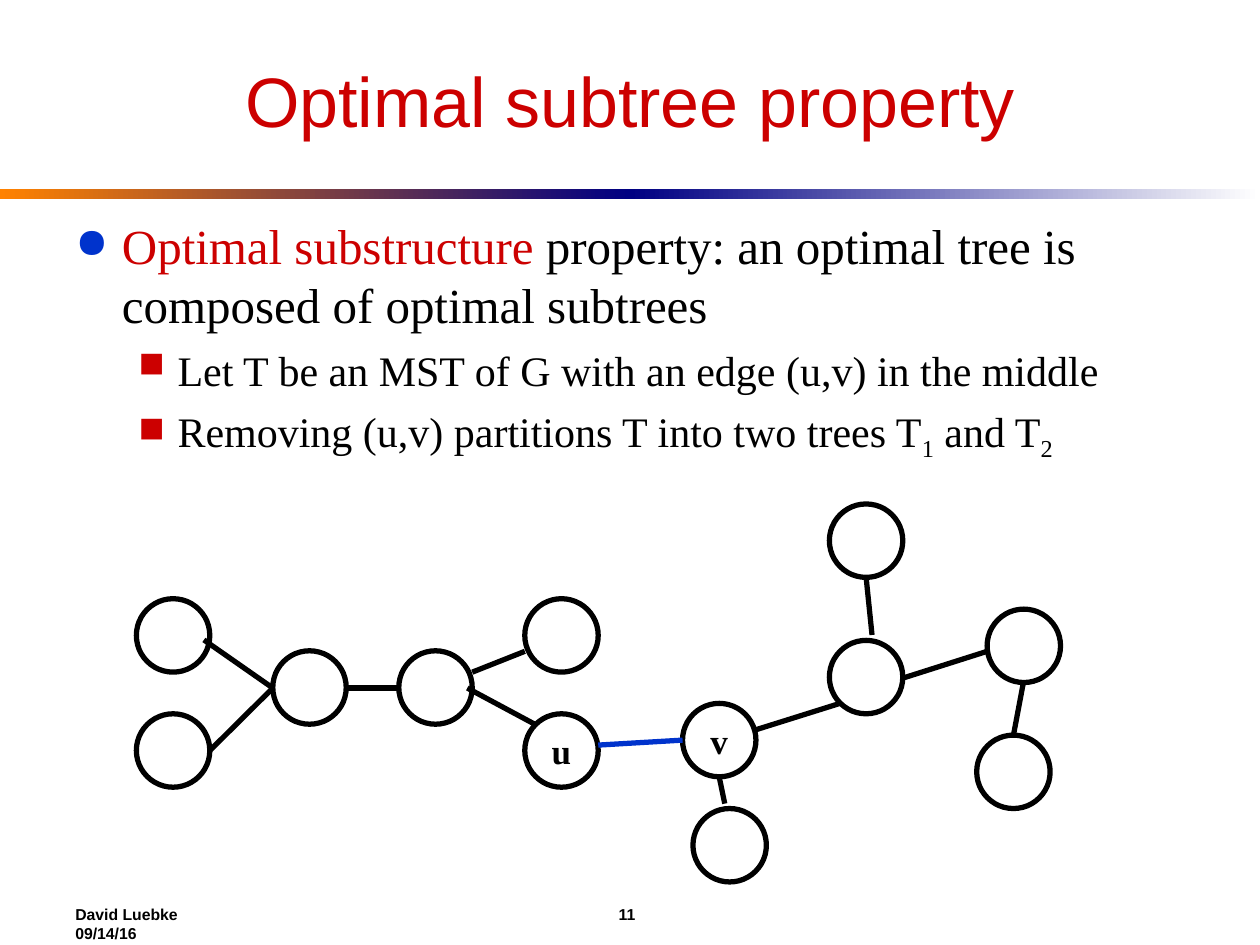
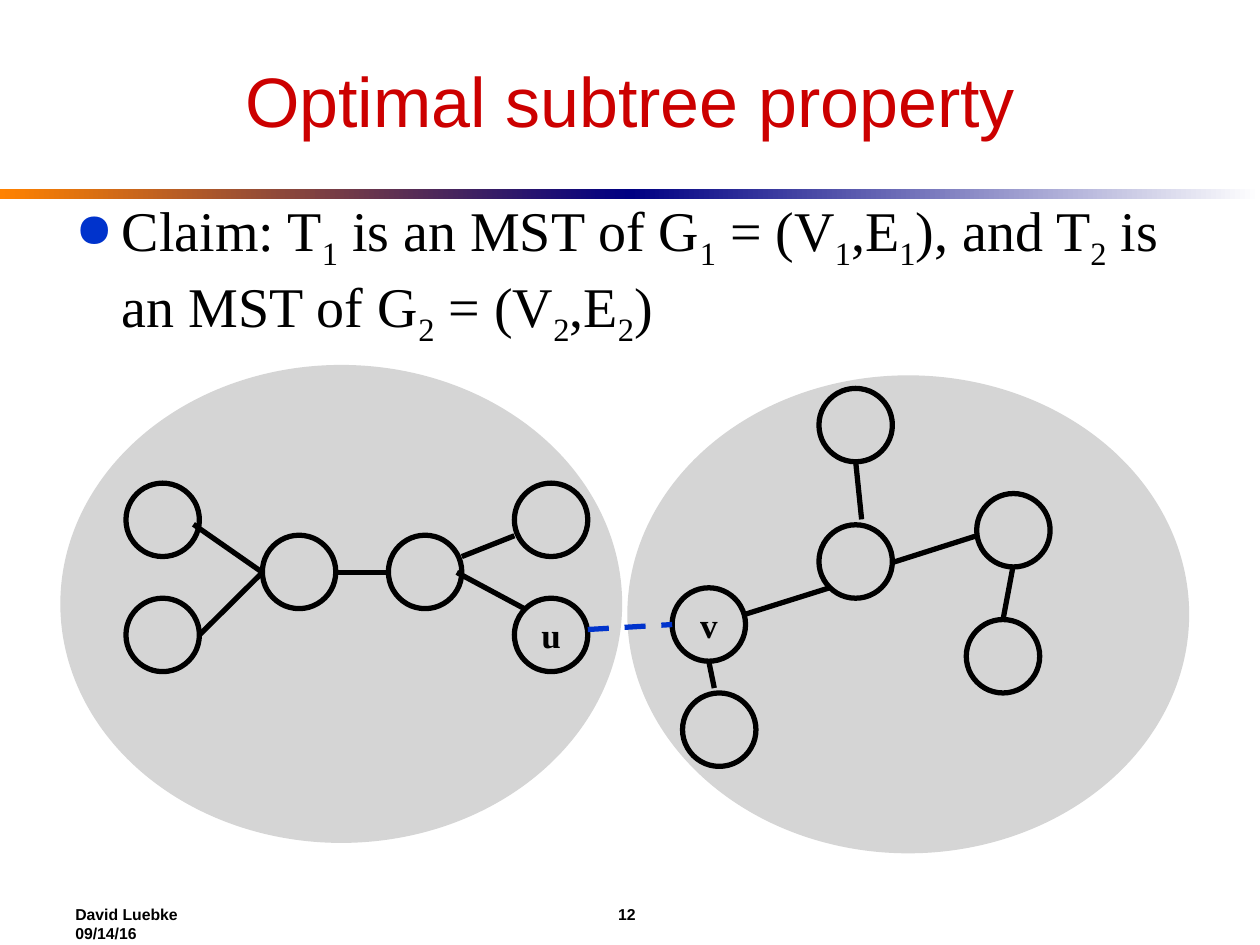
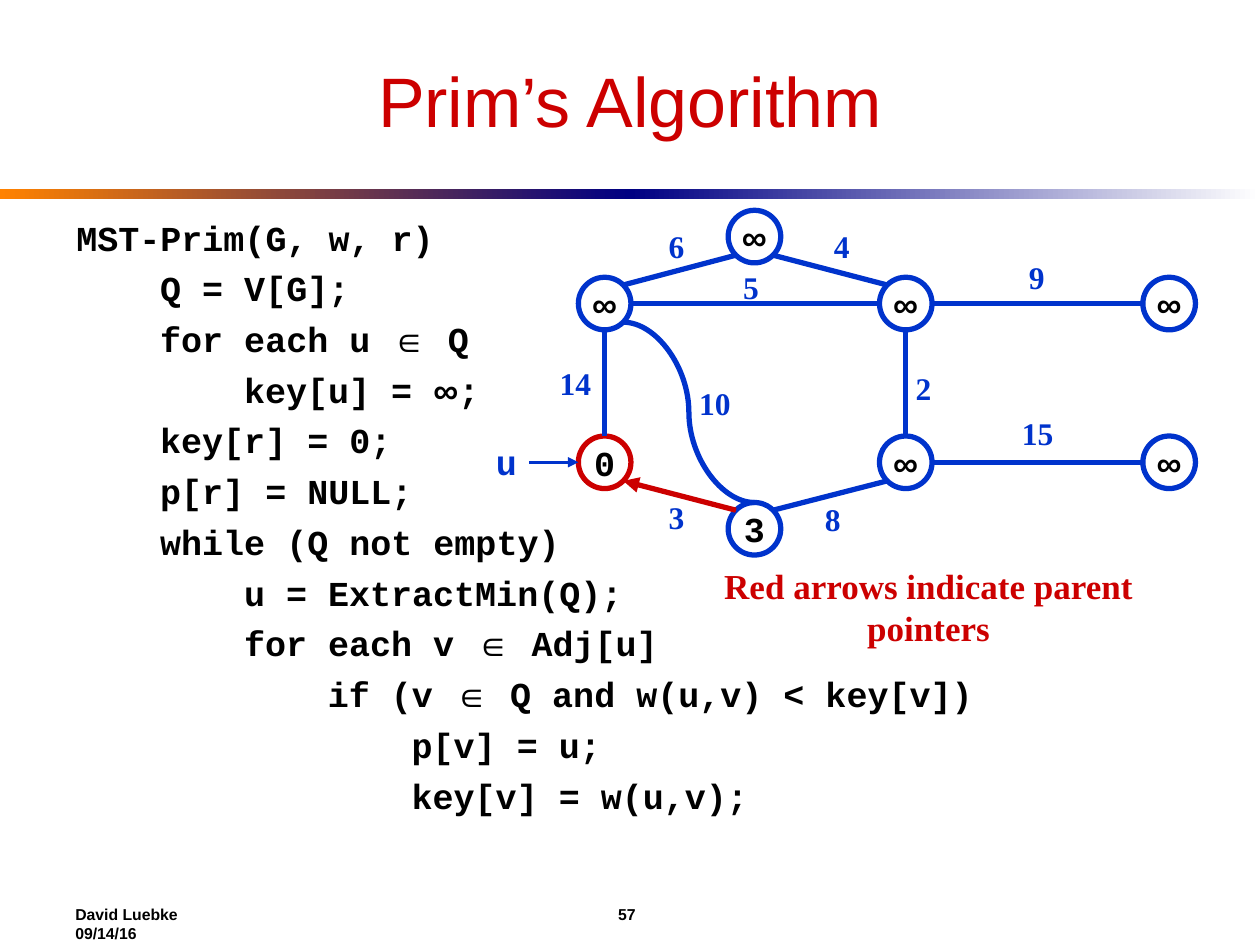
from dataclasses import dataclass, replace
from itertools import groupby
from math import cos, pi, sin
from typing import Any, NamedTuple, Optional

from lxml.etree import SubElement
from pptx import Presentation
from pptx.dml.color import RGBColor
from pptx.enum.dml import MSO_LINE
from pptx.enum.shapes import MSO_CONNECTOR, MSO_SHAPE
from pptx.enum.text import MSO_ANCHOR, MSO_AUTO_SIZE, PP_ALIGN
from pptx.oxml.ns import qn
from pptx.util import Cm, Pt


@dataclass(frozen=True)
class TextStyle:
    name: str
    size: float
    color: str
    bold: bool = False


@dataclass(frozen=True)
class Theme:
    black: str = "000000"
    red: str = "CC0000"
    blue: str = "0033CC"
    gray: str = "D5D5D5"
    orange: str = "FF8200"
    navy: str = "000082"
    white: str = "FFFFFF"
    sans: str = "Arial"
    serif: str = "Times New Roman"
    mono: str = "Courier New"
    stroke: float = 3
    thin_stroke: float = 1.5


THEME = Theme()
TITLE = TextStyle(THEME.sans, 40, THEME.red)
FOOTER = TextStyle(THEME.sans, 9, THEME.black, True)
CLAIM = TextStyle(THEME.serif, 32, THEME.black)
POINT = replace(CLAIM, size=28)
SUBPOINT = replace(CLAIM, size=24)
VERTEX = TextStyle(THEME.serif, 20, THEME.black, True)
CODE = replace(VERTEX, name=THEME.mono)
SYMBOL = replace(VERTEX, name=THEME.sans)
WEIGHT = TextStyle(THEME.serif, 18, THEME.blue, True)
POINTER = replace(CODE, color=THEME.blue)
REMARK = replace(VERTEX, color=THEME.red)


class Bullet(NamedTuple):
    mark: str
    color: str
    level: int
    margin: float
    hanging: float


DISC = Bullet("●", THEME.blue, 0, 0.94, 0.94)
SQUARE = Bullet("■", THEME.red, 1, 2.06, 0.79)


class Item(NamedTuple):
    pieces: tuple[tuple[str, TextStyle], ...]
    bullet: Bullet
    space_before: float


class Node(NamedTuple):
    left: float
    top: float
    text: str = ""
    style: TextStyle = VERTEX
    color: str = THEME.black


class Edge(NamedTuple):
    x1: float
    y1: float
    x2: float
    y2: float
    color: str = THEME.black
    dash: Optional[MSO_LINE] = None
    arrow: bool = False
    width: float = THEME.stroke
    kind: MSO_CONNECTOR = MSO_CONNECTOR.STRAIGHT


class Link(NamedTuple):
    """An edge between two of the eight ellipse sites, counted from the top to the left."""
    start: str
    start_site: int
    end: str
    end_site: int
    options: dict[str, Any] = {}


TREE_NODE_SIZE = 1.48
TREE_NODES = (
    Node(2.75, 12.07), Node(5.5, 13.12), Node(2.75, 14.39), Node(8.04, 13.12),
    Node(10.58, 12.07), Node(10.58, 14.39, "u"), Node(13.76, 14.18, "v"),
    Node(13.97, 16.3), Node(16.72, 10.16), Node(16.72, 12.91),
    Node(19.9, 12.28), Node(19.69, 14.82),
)
TREE_EDGES = (
    Edge(4.11, 12.9, 5.5, 13.87), Edge(4.23, 15.13, 5.5, 13.87),
    Edge(6.98, 13.87, 8.04, 13.87), Edge(9.42, 13.87, 10.8, 14.61),
    Edge(10.58, 13.13, 9.52, 13.55), Edge(15.24, 14.71, 16.93, 14.18),
    Edge(18.2, 13.67, 19.9, 13.13), Edge(17.46, 11.64, 17.58, 12.8),
    Edge(14.5, 15.67, 14.61, 16.2), Edge(20.43, 14.82, 20.63, 13.76),
)
MIDDLE_EDGE = Edge(12.06, 15.02, 13.76, 14.92, THEME.blue)

PRIM_NODE_SIZE = 1.06
LEFT, CENTER, RIGHT, FAR = 11.66, 14.68, 17.73, 23.04
PEAK, UPPER, LOWER, BASE = 4.24, 5.59, 8.79, 10.13
UNREACHED = {"text": "∞", "style": SYMBOL, "color": THEME.blue}
PRIM_NODES = {
    "peak": Node(CENTER, PEAK, **UNREACHED),
    "upper left": Node(LEFT, UPPER, **UNREACHED),
    "upper right": Node(RIGHT, UPPER, **UNREACHED),
    "upper far": Node(FAR, UPPER, **UNREACHED),
    "root": Node(LEFT, LOWER, "0", CODE, THEME.red),
    "lower right": Node(RIGHT, LOWER, **UNREACHED),
    "lower far": Node(FAR, LOWER, **UNREACHED),
    "base": Node(CENTER, BASE, "3", CODE, THEME.blue),
}
PRIM_LINKS = (
    Link("peak", 5, "upper right", 1),
    Link("peak", 3, "upper left", 7),
    Link("upper left", 6, "upper right", 2),
    Link("root", 0, "upper left", 4),
    Link("base", 1, "root", 5, {"color": THEME.red, "arrow": True}),
    Link("base", 7, "lower right", 3),
    Link("lower right", 0, "upper right", 4),
    Link("upper right", 6, "upper far", 2),
    Link("lower right", 6, "lower far", 2),
    Link("upper left", 5, "base", 0, {"kind": MSO_CONNECTOR.CURVE}),
)
PRIM_WEIGHTS = (
    ("14", 11.6, 7.21), ("10", 14.41, 7.62), ("3", 13.64, 9.91), ("6", 13.64, 4.45),
    ("4", 16.97, 4.45), ("5", 15.14, 5.28), ("2", 18.62, 7.32), ("9", 20.9, 5.08),
    ("15", 20.92, 8.23), ("8", 16.79, 9.96),
)
PRIM_CODE = (
    (0, "MST-Prim(G, w, r)"),
    (1, "Q = V[G];"),
    (1, "for each u ∈ Q"),
    (2, "key[u] = ∞;"),
    (1, "key[r] = 0;"),
    (1, "p[r] = NULL;"),
    (1, "while (Q not empty)"),
    (2, "u = ExtractMin(Q);"),
    (2, "for each v ∈ Adj[u]"),
    (3, "if (v ∈ Q and w(u,v) < key[v])"),
    (4, "p[v] = u;"),
    (4, "key[v] = w(u,v);"),
)
CODE_INDENT = 1.69


def rgb(color: str) -> RGBColor:
    return RGBColor.from_string(color)


def assign(target, values: dict[str, Any]) -> None:
    for attribute, value in values.items():
        setattr(target, attribute, value)


def write(paragraph, text: str, style: TextStyle) -> None:
    """Add text; the character after each underscore becomes a subscript."""
    first, *rest = text.split("_")
    parts = [(first, False)]
    for part in rest:
        parts += [(part[0], True), (part[1:], False)]
    for content, subscript in parts:
        if not content:
            continue
        run = paragraph.add_run()
        run.text = content
        assign(run.font, {"name": style.name, "size": Pt(style.size), "bold": style.bold})
        run.font.color.rgb = rgb(style.color)
        if subscript:
            run._r.get_or_add_rPr().set("baseline", "-25000")


def set_indent(paragraph, margin: float, hanging: float = 0):
    properties = paragraph._p.get_or_add_pPr()
    properties.set("marL", str(Cm(margin)))
    properties.set("indent", str(-Cm(hanging)))
    return properties


def add_text_area(slide, left: float, top: float, width: float, height: float, **frame_format):
    frame = slide.shapes.add_textbox(Cm(left), Cm(top), Cm(width), Cm(height)).text_frame
    assign(frame, {"word_wrap": True, "auto_size": MSO_AUTO_SIZE.NONE} | frame_format)
    return frame


def next_paragraph(frame, index: int):
    return frame.add_paragraph() if index else frame.paragraphs[0]


def add_label(slide, text: str, center: float, top: float, style: TextStyle) -> None:
    width = 0.48 + 0.33 * len(text)
    frame = add_text_area(slide, center - width / 2, top, width, 1.02, word_wrap=False)
    frame.paragraphs[0].alignment = PP_ALIGN.CENTER
    write(frame.paragraphs[0], text, style)


def add_items(slide, top: float, items: tuple[Item, ...]) -> None:
    frame = add_text_area(slide, 1.27, top, 22.86, 12.06)
    for index, item in enumerate(items):
        paragraph = next_paragraph(frame, index)
        bullet = item.bullet
        assign(paragraph, {"level": bullet.level, "space_before": Pt(item.space_before)})
        properties = set_indent(paragraph, bullet.margin, bullet.hanging)
        color = SubElement(properties, qn("a:buClr"))
        SubElement(color, qn("a:srgbClr"), val=bullet.color)
        SubElement(properties, qn("a:buSzPct"), val="85000")
        SubElement(properties, qn("a:buChar"), char=bullet.mark)
        for text, style in item.pieces:
            write(paragraph, text, style)


def add_code(slide, top: float) -> None:
    frame = add_text_area(slide, 1.27, top, 22.86, 12.06)
    for index, (depth, line) in enumerate(PRIM_CODE):
        paragraph = next_paragraph(frame, index)
        paragraph.space_before = Pt(5)
        set_indent(paragraph, 0.02 + CODE_INDENT * depth)
        for is_symbol, characters in groupby(line, lambda character: character in "∈∞"):
            write(paragraph, "".join(characters), SYMBOL if is_symbol else CODE)


def add_ellipse(slide, left: float, top: float, width: float, height: float, color: str):
    ellipse = slide.shapes.add_shape(
        MSO_SHAPE.OVAL, Cm(left), Cm(top), Cm(width), Cm(height))
    ellipse.shadow.inherit = False
    ellipse.fill.background()
    ellipse.line.color.rgb = rgb(color)
    ellipse.line.width = Pt(THEME.stroke)
    return ellipse


def add_node(slide, node: Node, size: float) -> None:
    circle = add_ellipse(slide, node.left, node.top, size, size, node.color)
    if node.text:
        frame = circle.text_frame
        assign(frame, {"word_wrap": False, "vertical_anchor": MSO_ANCHOR.MIDDLE})
        frame.paragraphs[0].alignment = PP_ALIGN.CENTER
        write(frame.paragraphs[0], node.text, node.style)


def add_edge(slide, edge: Edge) -> None:
    connector = slide.shapes.add_connector(
        edge.kind, Cm(edge.x1), Cm(edge.y1), Cm(edge.x2), Cm(edge.y2))
    connector.line.color.rgb = rgb(edge.color)
    assign(connector.line, {"width": Pt(edge.width), "dash_style": edge.dash})
    properties = connector._element.spPr
    if edge.arrow:
        SubElement(properties.get_or_add_ln(), qn("a:tailEnd"), type="triangle")
    SubElement(properties, qn("a:effectLst"))


def add_tree(slide, middle: Edge, dx: float = 0, dy: float = 0) -> None:
    for node in TREE_NODES:
        add_node(slide, node._replace(left=node.left + dx, top=node.top + dy), TREE_NODE_SIZE)
    for edge in (*TREE_EDGES, middle):
        add_edge(slide, edge._replace(
            x1=edge.x1 + dx, y1=edge.y1 + dy, x2=edge.x2 + dx, y2=edge.y2 + dy))


def site_point(node: Node, site: int) -> tuple[float, float]:
    radius = PRIM_NODE_SIZE / 2
    angle = pi / 2 + site * pi / 4
    return (node.left + radius + radius * cos(angle),
            node.top + radius - radius * sin(angle))


def add_bands(slide) -> None:
    half = 12.7
    for index, colors in enumerate(((THEME.orange, THEME.navy), (THEME.navy, THEME.white))):
        band = slide.shapes.add_shape(
            MSO_SHAPE.RECTANGLE, Cm(index * half), Cm(3.81), Cm(half), Cm(0.2))
        band.shadow.inherit = False
        band.line.fill.background()
        band.fill.gradient()
        band.fill.gradient_angle = 0
        for stop, color in zip(band.fill.gradient_stops, colors):
            stop.color.rgb = rgb(color)


def add_footer(slide, number: int) -> None:
    frame = add_text_area(slide, 1.27, 18.21, 22.86, 0.84, vertical_anchor=MSO_ANCHOR.MIDDLE)
    paragraph = frame.paragraphs[0]
    tabs = SubElement(paragraph._p.get_or_add_pPr(), qn("a:tabLst"))
    for position, alignment in ((11.12, "ctr"), (21.38, "l")):
        SubElement(tabs, qn("a:tab"), pos=str(Cm(position)), algn=alignment)
    write(paragraph, f"David Luebke\t{number}\t09/14/16", FOOTER)


def start_slide(deck, title: str, number: int):
    slide = deck.slides.add_slide(deck.slide_layouts[5])
    heading = slide.shapes.title
    assign(heading, {"left": Cm(1.27), "top": Cm(0.64), "width": Cm(22.86), "height": Cm(2.75)})
    assign(heading.text_frame, {"vertical_anchor": MSO_ANCHOR.MIDDLE, "word_wrap": True,
                                "auto_size": MSO_AUTO_SIZE.NONE})
    paragraph = heading.text_frame.paragraphs[0]
    paragraph.alignment = PP_ALIGN.CENTER
    write(paragraph, title, TITLE)
    add_bands(slide)
    add_footer(slide, number)
    return slide


def build_substructure(deck) -> None:
    slide = start_slide(deck, "Optimal subtree property", 11)
    add_items(slide, 4.23, (
        Item((("Optimal substructure", replace(POINT, color=THEME.red)),
              (" property: an optimal tree is composed of optimal subtrees", POINT)), DISC, 7),
        Item((("Let T be an MST of G with an edge (u,v) in the middle", SUBPOINT),), SQUARE, 6),
        Item((("Removing (u,v) partitions T into two trees T_1 and T_2", SUBPOINT),), SQUARE, 6),
    ))
    add_tree(slide, MIDDLE_EDGE)


def build_claim(deck) -> None:
    slide = start_slide(deck, "Optimal subtree property", 12)
    for left, top in ((12.7, 7.62), (1.27, 7.41)):
        subtree = add_ellipse(slide, left, top, 11.22, 9.53, THEME.gray)
        subtree.fill.solid()
        subtree.fill.fore_color.rgb = rgb(THEME.gray)
    claim = "Claim: T_1 is an MST of G_1 = (V_1,E_1), and T_2 is an MST of G_2 = (V_2,E_2)"
    add_items(slide, 3.81, (Item(((claim, CLAIM),), DISC, 8),))
    add_tree(slide, MIDDLE_EDGE._replace(dash=MSO_LINE.DASH), -0.21, -2.33)


def build_prim(deck) -> None:
    slide = start_slide(deck, "Prim’s Algorithm", 57)
    add_code(slide, 4.23)
    for node in PRIM_NODES.values():
        add_node(slide, node, PRIM_NODE_SIZE)
    for link in PRIM_LINKS:
        start = site_point(PRIM_NODES[link.start], link.start_site)
        end = site_point(PRIM_NODES[link.end], link.end_site)
        add_edge(slide, Edge(*start, *end, **({"color": THEME.blue} | link.options)))
    for weight, center, top in PRIM_WEIGHTS:
        add_label(slide, weight, center, top, WEIGHT)
    add_label(slide, "u", 10.21, 8.76, POINTER)
    root_side = site_point(PRIM_NODES["root"], 2)
    add_edge(slide, Edge(10.67, root_side[1], *root_side, THEME.blue,
                         arrow=True, width=THEME.thin_stroke))
    remark = add_text_area(slide, 13.26, 11.25, 10.92, 1.12).paragraphs[0]
    remark.alignment = PP_ALIGN.CENTER
    write(remark, "Red arrows indicate parent pointers", REMARK)


def main() -> None:
    deck = Presentation()
    assign(deck, {"slide_width": Cm(25.4), "slide_height": Cm(19.05)})
    for build in (build_substructure, build_claim, build_prim):
        build(deck)
    deck.save("out.pptx")


if __name__ == "__main__":
    main()
